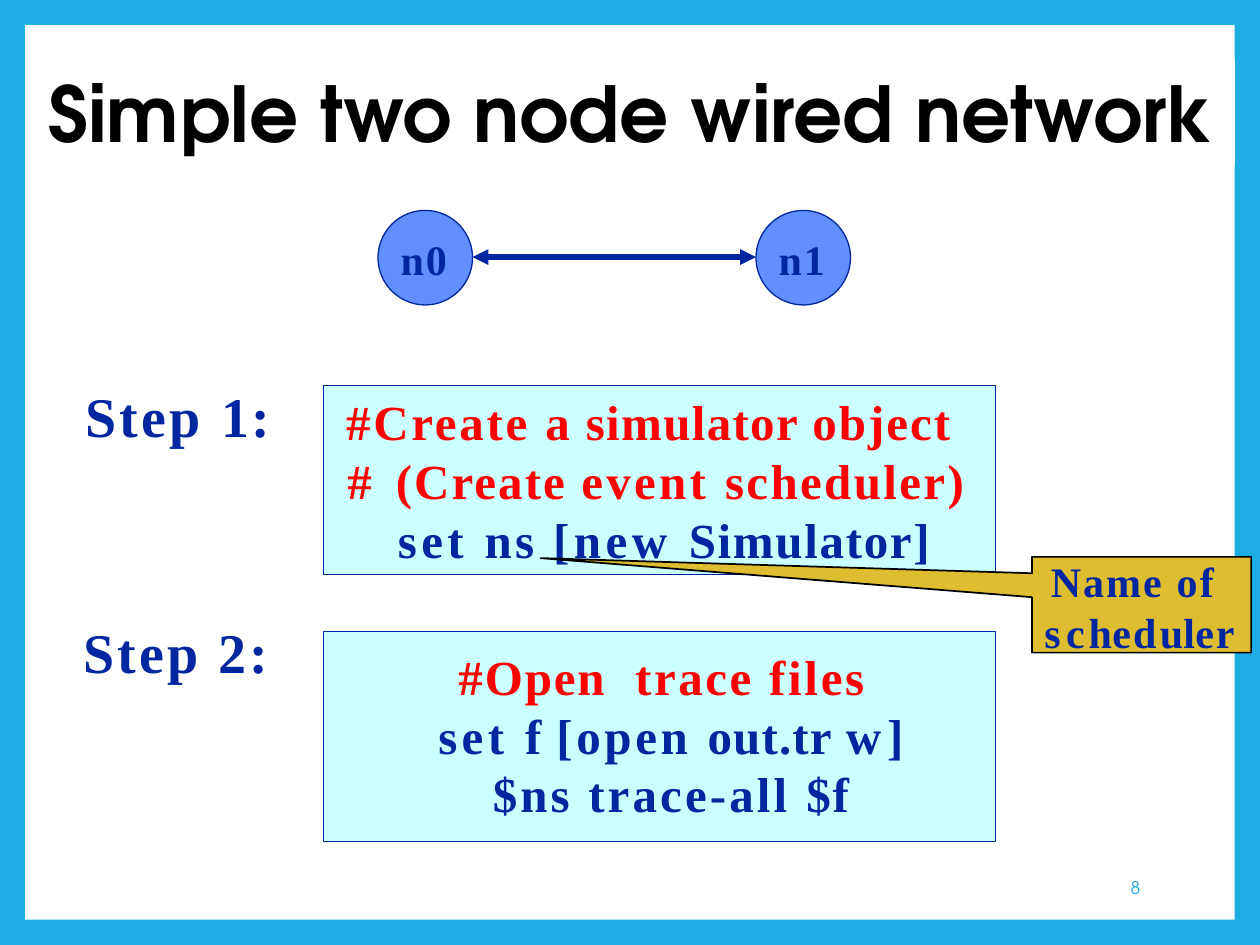
import pptx
import pptx.util
import pptx.dml.color
import pptx.enum.shapes
import pptx.enum.text
import pptx.oxml.ns
from lxml import etree

Inches = pptx.util.Inches
Pt = pptx.util.Pt
SHAPES = pptx.enum.shapes.MSO_SHAPE
ALIGN = pptx.enum.text.PP_ALIGN
ANCHOR = pptx.enum.text.MSO_ANCHOR

SKY, NAVY, RED, WHITE, BLACK = "1CADE4", "00279F", "FF0000", "FFFFFF", "000000"
NODE_BLUE, CODE_CYAN, GOLD = "618FFD", "CCFFFF", "DEBD30"
SERIF, SANS = "Times New Roman", "TeX Gyre Adventor"


def color(value):
    return pptx.dml.color.RGBColor.from_string(value)


def add_element(parent, tag, **attributes):
    return etree.SubElement(parent, pptx.oxml.ns.qn(tag), **attributes)


class SlideBuilder:
    """Holds the house style and the slide being drawn."""

    def __init__(self, slide):
        self.slide = slide

    def background(self, fill):
        self.slide.background.fill.solid()
        self.slide.background.fill.fore_color.rgb = color(fill)

    def paint(self, shape, fill, line=None, weight=0.75):
        shape.shadow.inherit = False
        shape.fill.solid()
        shape.fill.fore_color.rgb = color(fill)
        if line:
            shape.line.color.rgb = color(line)
            shape.line.width = Pt(weight)
        else:
            shape.line.fill.background()
        return shape

    def shape(self, kind, box, fill, line=None):
        shape = self.slide.shapes.add_shape(kind, *map(Inches, box))
        return self.paint(shape, fill, line)

    def outline(self, points, fill, line, weight):
        builder = self.slide.shapes.build_freeform(
            Inches(points[0][0]), Inches(points[0][1]))
        builder.add_line_segments(
            [(Inches(x), Inches(y)) for x, y in points[1:]], close=True)
        return self.paint(builder.convert_to_shape(), fill, line, weight)

    def double_arrow(self, left, right, y):
        connector = self.slide.shapes.add_connector(
            pptx.enum.shapes.MSO_CONNECTOR.STRAIGHT,
            Inches(left), Inches(y), Inches(right), Inches(y))
        connector.line.color.rgb = color(NAVY)
        connector.line.width = Pt(3)
        line = connector.line._get_or_add_ln()
        add_element(line, "a:headEnd", type="triangle")
        add_element(line, "a:tailEnd", type="triangle")
        add_element(connector._element.spPr, "a:effectLst")

    def run(self, paragraph, text, size, ink, font=SERIF, bold=True, spacing=0):
        run = paragraph.add_run()
        run.text = text
        run.font.size = Pt(size)
        run.font.name = font
        run.font.bold = bold
        run.font.color.rgb = color(ink)
        if spacing:
            run._r.get_or_add_rPr().set("spc", str(round(spacing * 100)))

    def text(self, box, lines, size, align=ALIGN.LEFT):
        """Each line is (left indent, right indent, ink, [(text, spacing), ...])."""
        frame = self.slide.shapes.add_textbox(*map(Inches, box)).text_frame
        frame.word_wrap = True
        frame.margin_left = frame.margin_right = frame.margin_bottom = 0
        frame.margin_top = Inches(0.01)
        for index, (left, right, ink, runs) in enumerate(lines):
            paragraph = frame.add_paragraph() if index else frame.paragraphs[0]
            paragraph.alignment = align
            paragraph.line_spacing = Pt(1.2 * size)
            paragraph.space_before = Pt(0 if index else 1)
            properties = paragraph._p.get_or_add_pPr()
            properties.set("marL", str(Inches(left)))
            properties.set("marR", str(Inches(right)))
            for text, spacing in runs:
                self.run(paragraph, text, size, ink, spacing=spacing)

    def node(self, left, name):
        self.shape(SHAPES.OVAL, (left, 1.67, 0.75, 0.75), NODE_BLUE, NAVY)
        self.text((left + 0.17, 1.84, 0.41, 0.43),
                  [(0.01, 0, NAVY, [(name, 1.1)])], 24)

    def step(self, label_left, label_top, number, panel, code_box, code):
        self.shape(SHAPES.RECTANGLE, panel, CODE_CYAN, NAVY)
        self.text(code_box, code, 28, ALIGN.CENTER)
        self.text((label_left, label_top, 1.52, 0.56),
                  [(0.01, 0, NAVY, [("Step ", 1.8), (f"{number}:", 1.4)])], 32)

    def title(self, box, text):
        shape = self.shape(SHAPES.RECTANGLE, box, WHITE)
        frame = shape.text_frame
        frame.word_wrap = False
        frame.vertical_anchor = ANCHOR.TOP
        frame.paragraphs[0].alignment = ALIGN.CENTER
        self.run(frame.paragraphs[0], text, 44, BLACK, SANS)

    def page_number(self, box, number):
        frame = self.slide.shapes.add_textbox(*map(Inches, box)).text_frame
        frame.word_wrap = True
        frame.vertical_anchor = ANCHOR.MIDDLE
        frame.margin_left = frame.margin_right = 0
        frame.margin_top = frame.margin_bottom = 0
        paragraph = frame.paragraphs[0]
        paragraph.alignment = ALIGN.RIGHT
        paragraph.line_spacing = Pt(16.5)
        self.run(paragraph, number, 10, SKY, SANS, bold=False)


def main():
    presentation = pptx.Presentation()
    presentation.slide_width = Inches(10)
    presentation.slide_height = Inches(7.5)
    builder = SlideBuilder(
        presentation.slides.add_slide(presentation.slide_layouts[6]))

    # Page frame and number
    builder.background(SKY)
    builder.shape(SHAPES.RECTANGLE, (0.2, 0.2, 9.6, 7.1), WHITE)
    builder.page_number((7.65, 6.81, 1.4, 0.4), "8")

    # Two linked nodes
    builder.node(3, "n0")
    builder.node(6, "n1")
    builder.double_arrow(3.75, 6, 2.04)

    # Steps with their code
    builder.step(0.67, 3.02, 1, (2.57, 3.06, 5.33, 1.5), (2.64, 3.1, 5.16, 1.43), [
        (0, 0.15, RED, [("#Create ", 1.6), ("a ", 1.1), ("simulator ", 0.8),
                        ("object", 1.2)]),
        (0, 0.03, RED, [("# ", 3.4), ("(Create ", 1.2), ("event ", 1.9),
                        ("scheduler)", 1.4)]),
        (0.1, 0, NAVY, [("set ", 2.5), ("ns ", 1.9), ("[new ", 2.6),
                        ("Simulator]", 1)]),
    ])
    builder.step(0.65, 4.89, 2, (2.57, 5.01, 5.33, 1.67), (3.42, 5.12, 3.8, 1.43), [
        (0, 0.14, RED, [("#Open", 1.1), (" ", 9.2), ("trace ", 1.5), ("files", 1.6)]),
        (0.01, 0, NAVY, [("set ", 2.5), ("f ", 0.8), ("[open ", 2.1),
                         ("out.tr ", 0.7), ("w]", 3.4)]),
        (0.01, 0, NAVY, [("$ns trace-all ", 1.8), ("$f", 1.1)]),
    ])

    # Callout pointing at the scheduler name
    builder.outline([(8.19, 4.42), (9.93, 4.42), (9.93, 5.18), (8.19, 5.18),
                     (8.19, 4.74), (4.29, 4.43), (8.19, 4.55)], GOLD, BLACK, 1)
    builder.text((8.28, 4.4, 1.56, 0.83), [
        (0.06, 0, NAVY, [("Name ", 1.2), ("of", 1.3)]),
        (0.01, 0, NAVY, [("s", 3), ("c", 2.3), ("h", 0.1), ("e", 1.3),
                         ("d", 1.9), ("ul", 0.1), ("er", 1.2)]),
    ], 24)

    # Title
    builder.title((0.21, 0.47, 9.59, 0.84), "Simple two node wired network")

    presentation.save("out.pptx")


if __name__ == "__main__":
    main()
